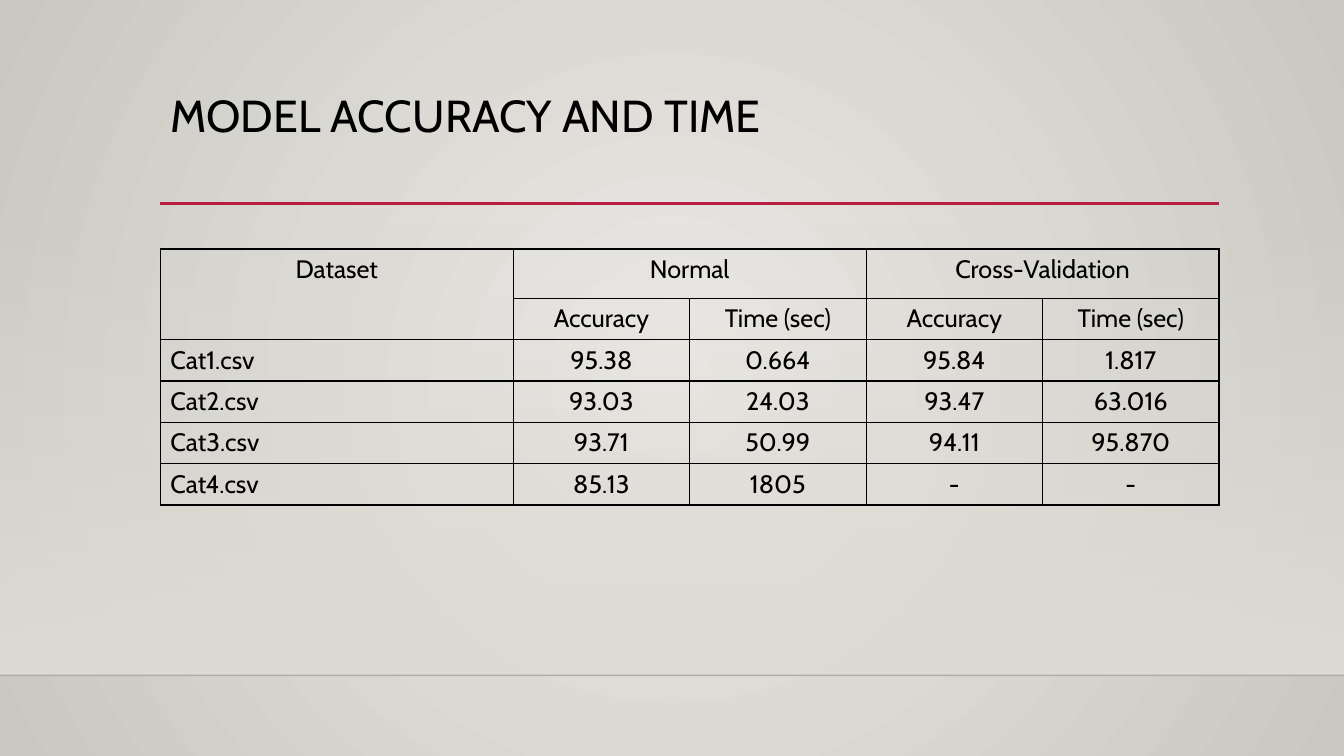
from dataclasses import dataclass

from lxml.etree import SubElement
from pptx import Presentation
from pptx.dml.color import RGBColor
from pptx.enum.shapes import MSO_CONNECTOR, MSO_SHAPE
from pptx.enum.text import MSO_ANCHOR, PP_ALIGN
from pptx.oxml import parse_xml
from pptx.oxml.ns import nsdecls, qn
from pptx.util import Inches, Pt


@dataclass(frozen=True)
class Theme:
    font: str = "Cabin"
    title_size: int = 32
    table_size: int = 18
    ink: str = "000000"
    accent: str = "B71E42"
    floor_line: str = "000001"
    glow: str = "ECEAE7"
    edge: str = "CAC7C1"
    wall: str = "DFDBD5"


THEME = Theme()
WIDTH, HEIGHT = 13.33, 7.5
LEFT, CONTENT_WIDTH = 1.59, 10.5
WALL_TOP, FLOOR = 2.21, 6.7

COLUMN_SHARES = [2, 1, 1, 1, 1]
ROW_HEIGHTS = [0.49] + [0.41] * 5
ROWS = [
    ["Dataset", "Normal", "", "Cross-Validation", ""],
    [""] + ["Accuracy", "Time (sec)"] * 2,
    ["Cat1.csv", "95.38", "0.664", "95.84", "1.817"],
    ["Cat2.csv", "93.03", "24.03", "93.47", "63.016"],
    ["Cat3.csv", "93.71", "50.99", "94.11", "95.870"],
    ["Cat4.csv", "85.13", "1805", "-", "-"],
]
MERGES = [((0, 0), (1, 0)), ((0, 1), (0, 2)), ((0, 3), (0, 4))]


def gradient(stops, direction):
    """Build a gradient fill from (position, colour, opacity) in percent."""
    stop_xml = "".join(
        f'<a:gs pos="{position * 1000}"><a:srgbClr val="{color}">'
        f'<a:alpha val="{opacity * 1000}"/></a:srgbClr></a:gs>'
        for position, color, opacity in stops
    )
    return parse_xml(
        f'<a:gradFill {nsdecls("a")} rotWithShape="1">'
        f"<a:gsLst>{stop_xml}</a:gsLst>{direction}</a:gradFill>"
    )


def replace_solid(properties, fill):
    properties.replace(properties.find(qn("a:solidFill")), fill)


def write_text(frame, text, size, align=PP_ALIGN.LEFT, line_spacing=None):
    paragraph = frame.paragraphs[0]
    paragraph.alignment = align
    paragraph.line_spacing = line_spacing
    run = paragraph.add_run()
    run.text = text
    run.font.name = THEME.font
    run.font.size = Pt(size)
    run.font.color.rgb = RGBColor.from_string(THEME.ink)


def add_rule(slide, left, top, width, color, weight, opacity=100):
    rule = slide.shapes.add_connector(
        MSO_CONNECTOR.STRAIGHT,
        Inches(left), Inches(top), Inches(left + width), Inches(top),
    )
    rule.line.width = Pt(weight)
    rule.line.color.rgb = RGBColor.from_string(color)
    properties = rule._element.spPr
    if opacity < 100:
        color_element = next(properties.iter(qn("a:srgbClr")))
        SubElement(color_element, qn("a:alpha"), val=str(opacity * 1000))
    SubElement(properties, qn("a:effectLst"))


def add_backdrop(slide):
    # Radial light over the whole slide
    slide.background.fill.solid()
    background = next(slide._element.iter(qn("p:bgPr")))
    circle = (
        '<a:path path="circle">'
        '<a:fillToRect l="50000" t="50000" r="50000" b="50000"/></a:path>'
    )
    replace_solid(background, gradient(
        [(0, THEME.glow, 100), (100, THEME.edge, 100)], circle))

    # Wall that fades in towards the floor
    wall = slide.shapes.add_shape(
        MSO_SHAPE.RECTANGLE,
        0, Inches(WALL_TOP), Inches(WIDTH), Inches(FLOOR - WALL_TOP),
    )
    wall.shadow.inherit = False
    wall.line.fill.background()
    wall.fill.solid()
    replace_solid(wall._element.spPr, gradient(
        [(0, THEME.wall, 0), (100, THEME.wall, 100)],
        '<a:lin ang="5400000" scaled="0"/>'))
    add_rule(slide, 0, FLOOR, WIDTH, THEME.floor_line, 1, opacity=20)


def add_title(slide, text, left, top, width, height):
    box = slide.shapes.add_textbox(
        Inches(left), Inches(top), Inches(width), Inches(height))
    frame = box.text_frame
    frame.word_wrap = True
    frame.vertical_anchor = MSO_ANCHOR.TOP
    write_text(frame, text, THEME.title_size, line_spacing=0.9)
    add_rule(slide, left, top + height + 0.08, width, THEME.accent, 2.5)


def style_cell(cell):
    properties = cell._tc.get_or_add_tcPr()
    for side in ("lnL", "lnR", "lnT", "lnB"):
        properties.append(parse_xml(
            f'<a:{side} {nsdecls("a")} w="{Pt(1)}"><a:solidFill>'
            f'<a:srgbClr val="{THEME.ink}"/></a:solidFill></a:{side}>'))
    cell.fill.background()


def add_results(slide, left, top, width):
    table = slide.shapes.add_table(
        len(ROWS), len(COLUMN_SHARES),
        Inches(left), Inches(top), Inches(width), Inches(sum(ROW_HEIGHTS)),
    ).table
    table.first_row = table.horz_banding = False
    for column, share in zip(table.columns, COLUMN_SHARES):
        column.width = Inches(width * share / sum(COLUMN_SHARES))
    for row, height in zip(table.rows, ROW_HEIGHTS):
        row.height = Inches(height)

    # Headings and figures are centred, dataset names are not
    for row_index, values in enumerate(ROWS):
        for column_index, value in enumerate(values):
            cell = table.cell(row_index, column_index)
            style_cell(cell)
            if value:
                is_name = column_index == 0 and row_index > 1
                write_text(cell.text_frame, value, THEME.table_size,
                           align=PP_ALIGN.LEFT if is_name else PP_ALIGN.CENTER)
    for first, last in MERGES:
        table.cell(*first).merge(table.cell(*last))


def main():
    presentation = Presentation()
    presentation.slide_width = Inches(WIDTH)
    presentation.slide_height = Inches(HEIGHT)
    slide = presentation.slides.add_slide(presentation.slide_layouts[6])
    add_backdrop(slide)
    add_title(slide, "MODEL ACCURACY AND TIME", LEFT, 0.88, CONTENT_WIDTH, 1.06)
    add_results(slide, LEFT, 2.47, CONTENT_WIDTH)
    presentation.save("out.pptx")


if __name__ == "__main__":
    main()
